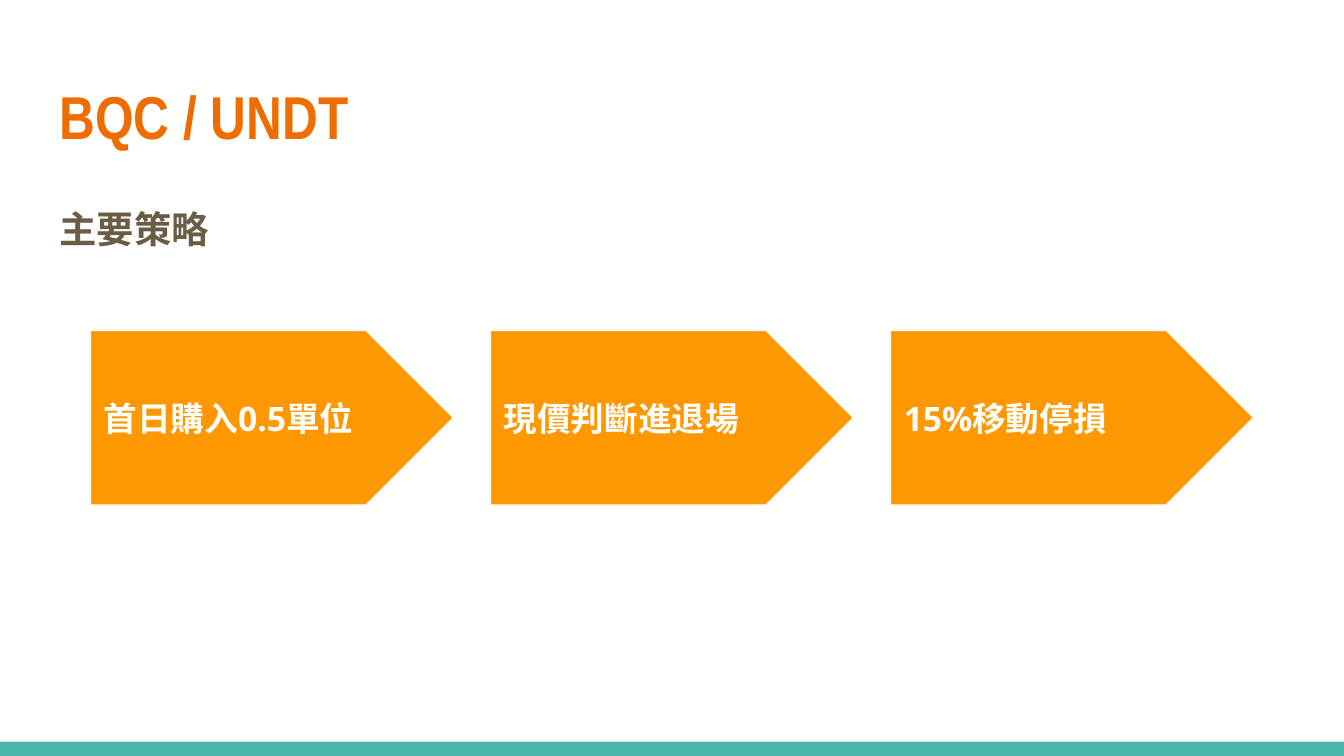
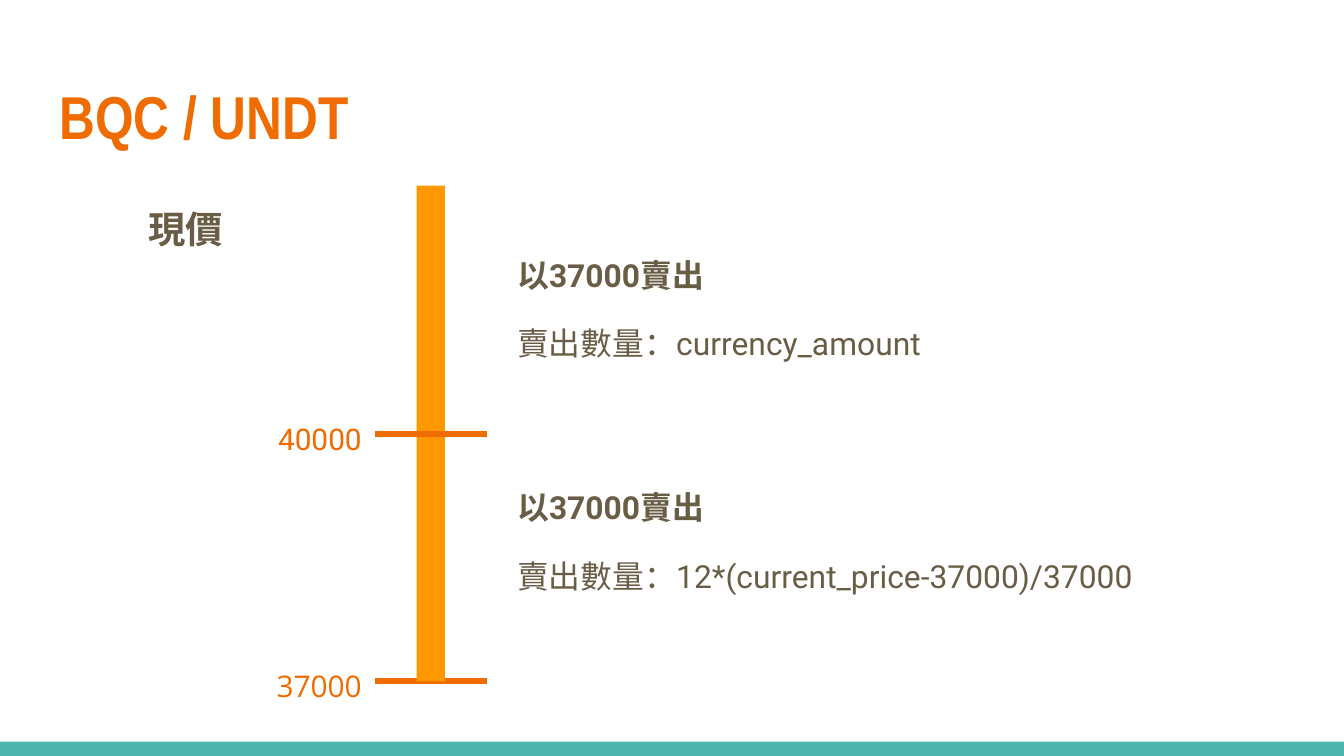
from lxml import etree
from pptx import Presentation
from pptx.dml.color import RGBColor
from pptx.enum.shapes import MSO_CONNECTOR as Connector, MSO_SHAPE as Preset
from pptx.enum.text import MSO_ANCHOR as Anchor, PP_ALIGN as Align
from pptx.oxml.ns import qn
from pptx.util import Pt

WHITE = RGBColor(0xFF, 0xFF, 0xFF)
TEAL = RGBColor(0x4D, 0xB6, 0xAC)
AMBER = RGBColor(0xFF, 0x98, 0x00)
ORANGE = RGBColor(0xEF, 0x6C, 0x00)
BROWN = RGBColor(0x69, 0x5D, 0x46)

TITLE_FONT, HEADING_FONT, DETAIL_FONT = "Arial Narrow", "Open Sans", "Roboto"
TITLE = "BQC / UNDT"

SLIDE_WIDTH, SLIDE_HEIGHT = 720, 405
BAND_HEIGHT = 7.7
MARGIN = 24.8
CONTENT_WIDTH = SLIDE_WIDTH - 2 * MARGIN
CONTENT_TOP = 99.5
INSET = 7.2

STRATEGY_STEPS = ["首日購入0.5單位", "現價判斷進退場", "15%移動停損"]
STEP_LEFT, STEP_TOP, STEP_PITCH = 48.5, 177, 214.3
STEP_WIDTH, STEP_HEIGHT = 194.4, 93.6

AXIS_LEFT, AXIS_WIDTH = 223.2, 15.1
TICK_LEFT, TICK_RIGHT = 200.8, 261
RULE_LEFT = 270

# Bottom of each price zone, its label and font, the rule's top and the amount sold
PRICE_ZONES = [
    (365, "37000", HEADING_FONT, 251.3, "12*(current_price-37000)/37000"),
    (232.6, "40000", DETAIL_FONT, 126.7, "currency_amount"),
]


def write(frame, text, font, size, color, bold=False, align=Align.LEFT,
          spacing=None, anchor=Anchor.TOP):
    frame.word_wrap = True
    frame.vertical_anchor = anchor
    frame.margin_left = frame.margin_right = Pt(INSET)
    frame.margin_top = frame.margin_bottom = Pt(INSET)
    paragraph = frame.paragraphs[0]
    paragraph.alignment = align
    if spacing:
        paragraph.line_spacing = spacing
    run = paragraph.add_run()
    run.text = text
    run.font.name = font
    run.font.size = Pt(size)
    run.font.bold = bold
    run.font.color.rgb = color


def add_text(slide, left, top, width, height, text, font, size, color, **style):
    box = slide.shapes.add_textbox(Pt(left), Pt(top), Pt(width), Pt(height))
    write(box.text_frame, text, font, size, color, **style)


def add_block(slide, preset, left, top, width, height, fill):
    block = slide.shapes.add_shape(preset, Pt(left), Pt(top), Pt(width), Pt(height))
    block.shadow.inherit = False
    block.fill.solid()
    block.fill.fore_color.rgb = fill
    block.line.fill.background()
    return block


def add_tick(slide, y):
    tick = slide.shapes.add_connector(
        Connector.STRAIGHT, Pt(TICK_RIGHT), Pt(y), Pt(TICK_LEFT), Pt(y))
    tick.line.color.rgb = ORANGE
    tick.line.width = Pt(3)
    etree.SubElement(tick._element.spPr, qn("a:effectLst"))


def add_heading(slide, left, width, height, text):
    add_text(slide, left, CONTENT_TOP, width, height, text, HEADING_FONT, 20,
             BROWN, bold=True, spacing=1.15)


def add_step(slide, left, text):
    step = add_block(slide, Preset.PENTAGON, left, STEP_TOP, STEP_WIDTH,
                     STEP_HEIGHT, AMBER)
    step.line.color.rgb = WHITE
    step.line.width = Pt(0.75)
    write(step.text_frame, text, HEADING_FONT, 18, WHITE, bold=True,
          anchor=Anchor.MIDDLE)


def add_price_label(slide, y, price, font):
    add_text(slide, 114.5, y - 17.3, 86.4, 46, price, font, 16, ORANGE,
             align=Align.RIGHT, spacing=1.15)


def add_sell_rule(slide, top, amount):
    add_text(slide, RULE_LEFT, top, 311, 36.7, "以37000賣出", DETAIL_FONT, 17,
             BROWN, bold=True, spacing=1.15)
    add_text(slide, RULE_LEFT, top + 36.7, 363, 54.7, "賣出數量：" + amount,
             DETAIL_FONT, 17, BROWN, spacing=1.15)


def new_slide(deck):
    """Add a slide with the bottom band and the shared title."""
    slide = deck.slides.add_slide(deck.slide_layouts[6])
    slide.background.fill.solid()
    slide.background.fill.fore_color.rgb = WHITE
    add_block(slide, Preset.RECTANGLE, 0, SLIDE_HEIGHT - BAND_HEIGHT,
              SLIDE_WIDTH, BAND_HEIGHT, TEAL)
    add_text(slide, MARGIN, 35, CONTENT_WIDTH, 55.3, TITLE,
             TITLE_FONT, 32.4, ORANGE, bold=True)
    return slide


def build_strategy(deck):
    slide = new_slide(deck)
    add_heading(slide, MARGIN, CONTENT_WIDTH, 260, "主要策略")
    for index, step in enumerate(STRATEGY_STEPS):
        add_step(slide, STEP_LEFT + index * STEP_PITCH, step)


def build_price_zones(deck):
    slide = new_slide(deck)
    # The lowest tick lies behind the axis, the upper one crosses it
    lowest, middle = (zone[0] for zone in PRICE_ZONES)
    add_tick(slide, lowest)
    for top, bottom in [(middle, lowest), (CONTENT_TOP, middle)]:
        add_block(slide, Preset.RECTANGLE, AXIS_LEFT, top, AXIS_WIDTH,
                  bottom - top, AMBER)
    add_tick(slide, middle)
    for bottom, price, font, rule_top, amount in PRICE_ZONES:
        add_price_label(slide, bottom, price, font)
        add_sell_rule(slide, rule_top, amount)
    add_heading(slide, 72.5, 73.4, 55.3, "現價")


def main():
    deck = Presentation()
    deck.slide_width, deck.slide_height = Pt(SLIDE_WIDTH), Pt(SLIDE_HEIGHT)
    build_strategy(deck)
    build_price_zones(deck)
    deck.save("out.pptx")


if __name__ == "__main__":
    main()
